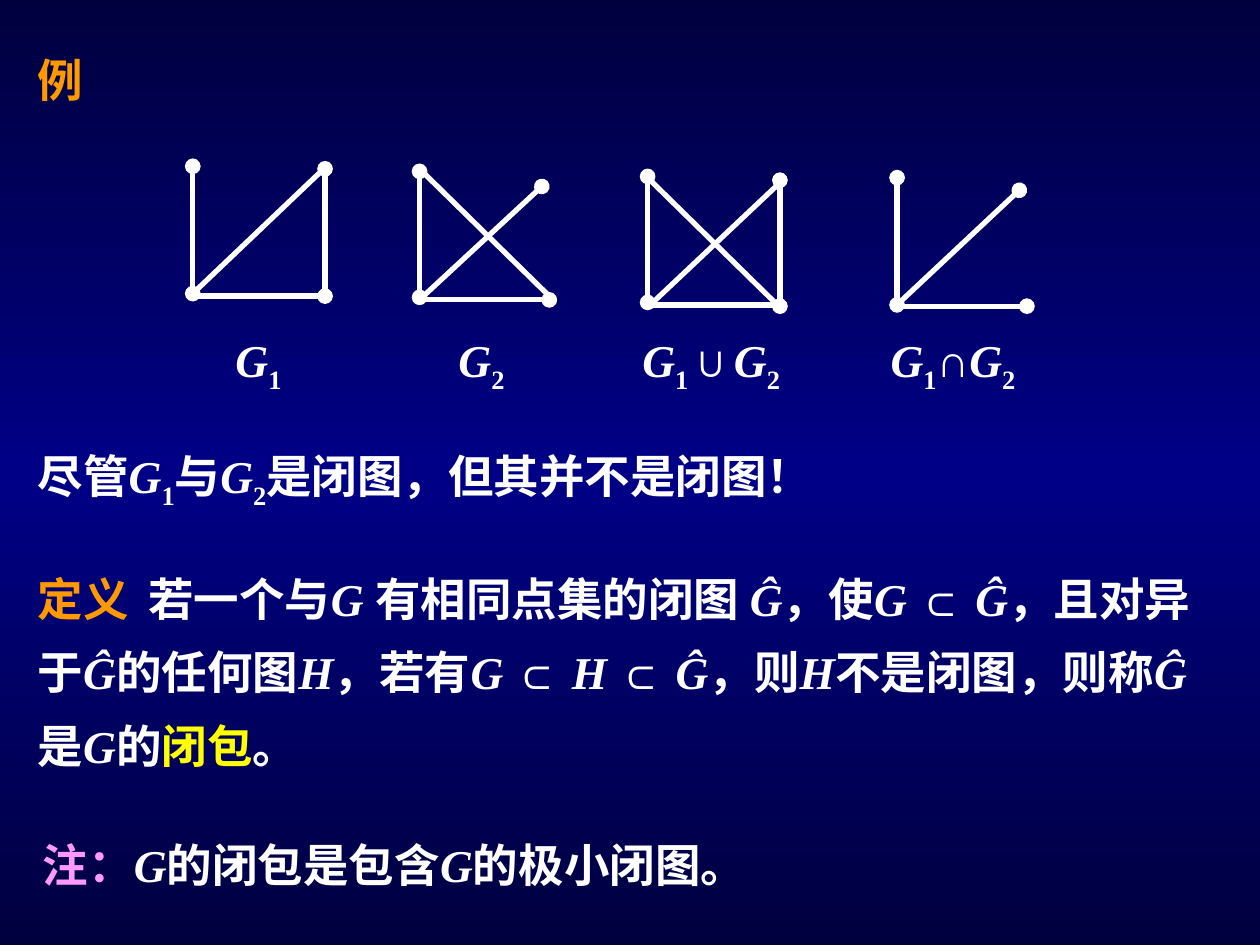
from copy import deepcopy
from itertools import groupby

from pptx import Presentation
from pptx.dml.color import RGBColor
from pptx.enum.shapes import MSO_CONNECTOR
from pptx.enum.text import MSO_ANCHOR, PP_ALIGN
from pptx.oxml.ns import qn
from pptx.util import Inches, Pt
from lxml.etree import SubElement

COLORS = {
    "edge": "00003E",
    "middle": "000086",
    "text": "FFFFFF",
    "heading": "FF9900",
    "term": "FFFF00",
    "note": "FF99FF",
}

# Each edge: x1, y1, x2, y2, number of dotted ends (the start comes first)
GRAPHS = {
    "G1": [
        (1.53, 1.32, 1.53, 2.33, 2),
        (2.58, 1.34, 2.58, 2.35, 2),
        (1.55, 2.35, 2.6, 2.35, 0),
        (2.57, 1.34, 1.53, 2.33, 0),
    ],
    "G2": [
        (3.33, 1.36, 3.33, 2.36, 2),
        (4.36, 2.38, 3.34, 2.38, 1),
        (4.3, 1.48, 3.35, 2.36, 1),
        (3.35, 1.36, 4.39, 2.38, 0),
    ],
    "G1∪G2": [
        (5.14, 1.4, 5.14, 2.4, 2),
        (6.19, 1.43, 6.19, 2.43, 2),
        (5.14, 2.42, 6.19, 2.42, 0),
        (6.19, 1.45, 5.15, 2.43, 0),
        (5.14, 1.41, 6.2, 2.45, 0),
    ],
    "G1∩G2": [
        (7.12, 1.41, 7.12, 2.42, 2),
        (8.15, 2.43, 7.13, 2.43, 1),
        (8.09, 1.51, 7.14, 2.4, 1),
    ],
}
LABEL_BOXES = {"G1": (1.77, 0.71), "G2": (3.54, 0.71),
               "G1∪G2": (5, 1.34), "G1∩G2": (6.97, 1.34)}


def color(name):
    return RGBColor.from_string(COLORS[name])


def paint_background(slide):
    fill = slide.background.fill
    fill.gradient()
    fill.gradient_angle = 90
    stop_list = next(slide.element.iter(qn("a:gsLst")))
    for extra_stop in list(stop_list)[2:]:
        stop_list.remove(extra_stop)
    stop_list.append(deepcopy(stop_list[-1]))
    stops = zip(fill.gradient_stops, (0, 0.5, 1), ("edge", "middle", "edge"))
    for stop, position, name in stops:
        stop.position = position
        stop.color.rgb = color(name)


def character_kind(character):
    if character in "GHĜ ":
        return "variable"
    if character in "12":
        return "subscript"
    return "relation" if character == "⊂" else "plain"


def write_math(paragraph, pieces, line_spacing):
    """Write (text, colour) pieces with italic variables and subscript digits."""
    paragraph.alignment = PP_ALIGN.LEFT
    paragraph.line_spacing = line_spacing
    for text, color_name in pieces:
        for kind, characters in groupby(text, character_kind):
            run = paragraph.add_run()
            run.text = "".join(characters)
            font = run.font
            font.name = "Arial" if kind == "relation" else "Times New Roman"
            font.size = Pt(26)
            font.bold = True
            font.italic = kind == "variable"
            font.color.rgb = color(color_name)
            if kind == "subscript":
                run._r.get_or_add_rPr().set("baseline", "-25000")


def add_text(slide, box, pieces, line_spacing=1.2):
    shape = slide.shapes.add_textbox(*map(Inches, box))
    shape.text_frame.word_wrap = True
    paragraph = shape.text_frame.paragraphs[0]
    write_math(paragraph, pieces, line_spacing)
    return paragraph


def add_tab_stop(paragraph, position):
    tab_list = SubElement(paragraph._p.get_or_add_pPr(), qn("a:tabLst"))
    SubElement(tab_list, qn("a:tab"), pos=str(Inches(position)), algn="l")


def set_title(slide, text):
    title = slide.shapes.title
    title.left, title.top = Inches(0.2), Inches(0.28)
    title.width, title.height = Inches(1.46), Inches(0.62)
    title.text_frame.vertical_anchor = MSO_ANCHOR.TOP
    write_math(title.text_frame.paragraphs[0], [(text, "heading")], 1.2)


def add_edge(slide, x1, y1, x2, y2, dots):
    edge = slide.shapes.add_connector(
        MSO_CONNECTOR.STRAIGHT, *map(Inches, (x1, y1, x2, y2)))
    edge.line.color.rgb = color("text")
    edge.line.width = Pt(3)
    for end in ("a:headEnd", "a:tailEnd")[:dots]:
        SubElement(edge.line._get_or_add_ln(), qn(end), type="oval")
    SubElement(edge._element.spPr, qn("a:effectLst"))


def add_graph(slide, label, edges):
    for edge in edges:
        add_edge(slide, *edge)
    left, width = LABEL_BOXES[label]
    add_text(slide, (left, 2.49, width, 0.69), [(label, "text")])


def main():
    presentation = Presentation()
    presentation.slide_width = Inches(10)
    presentation.slide_height = Inches(7.5)
    slide = presentation.slides.add_slide(presentation.slide_layouts[5])
    paint_background(slide)
    set_title(slide, "例")
    for label, edges in GRAPHS.items():
        add_graph(slide, label, edges)

    add_text(slide, (0.2, 3.51, 8.67, 0.6),
             [("尽管G1与G2是闭图，但其并不是闭图！", "text")], 1)
    definition = add_text(slide, (0.2, 4.33, 9.45, 1.86), [
        ("定义", "heading"),
        ("\t若一个与G 有相同点集的闭图 Ĝ，使G ⊂ Ĝ，且对异于Ĝ的任何图H，"
         "若有G ⊂ H ⊂ Ĝ，则H不是闭图，则称Ĝ是G的", "text"),
        ("闭包", "term"),
        ("。", "text"),
    ], 1.35)
    add_tab_stop(definition, 0.88)
    add_text(slide, (0.24, 6.51, 9.65, 0.62),
             [("注：", "note"), ("G的闭包是包含G的极小闭图。", "text")])
    presentation.save("out.pptx")


if __name__ == "__main__":
    main()
